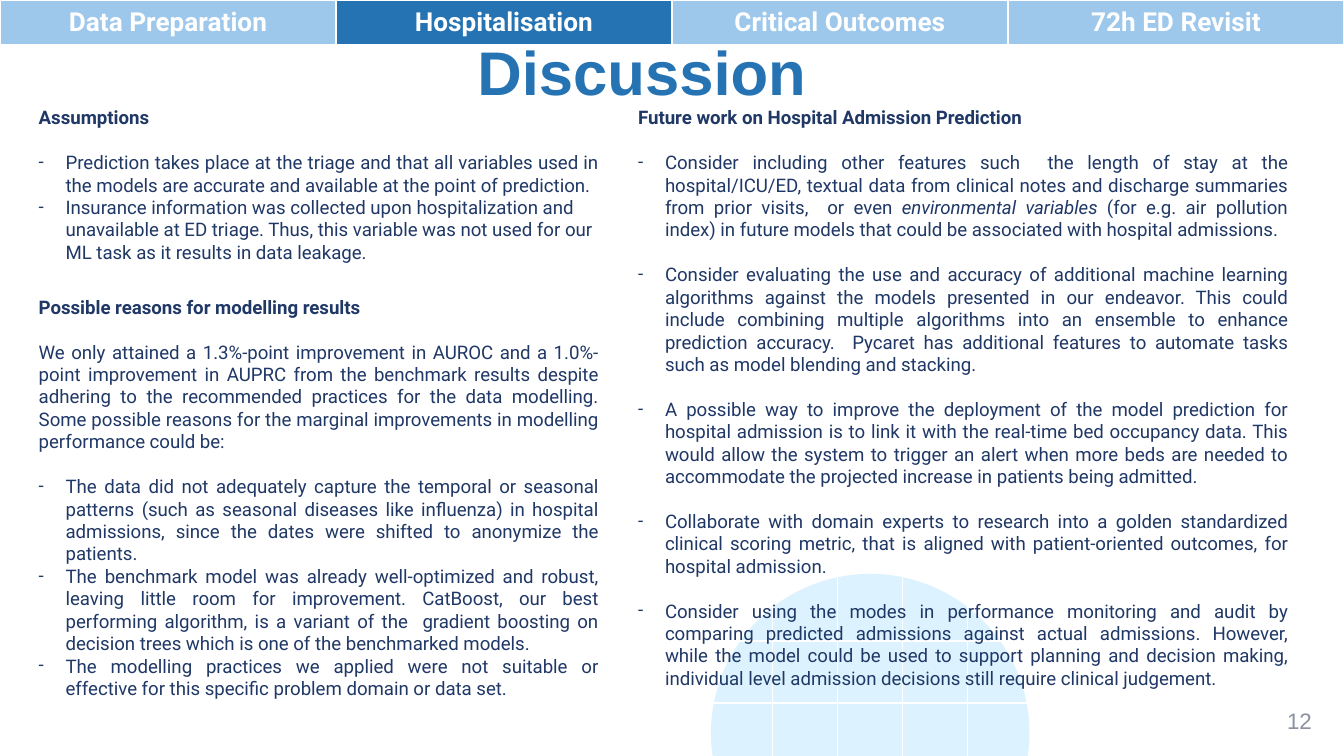
from lxml import etree
from pptx import Presentation
from pptx.dml.color import RGBColor
from pptx.enum.shapes import MSO_CONNECTOR, MSO_SHAPE
from pptx.enum.text import MSO_ANCHOR, PP_ALIGN
from pptx.oxml.ns import qn
from pptx.util import Inches, Pt

LEFT, MID, RIGHT, JUST = (PP_ALIGN.LEFT, PP_ALIGN.CENTER,
                          PP_ALIGN.RIGHT, PP_ALIGN.JUSTIFY)
BLUE, PALE, NAVY, SKY, GREY, WHITE = (
    "2573B3", "9EC8EB", "203866", "DCF3FF", "8D91A0", "FFFFFF")
WIDE = 10
HIGH = WIDE * 9 / 16
GAP = 12

TABS = ["Data Preparation", "Hospitalisation", "Critical Outcomes", "72h ED Revisit"]

# Each item: text, then the format of its paragraph; *stars* mark italics.
HEAD = dict(bold=True)
ITEM = dict(align=JUST, mark="-")
SPACED = dict(ITEM, before=GAP)

PREMISES = [
    ("Assumptions", HEAD),
    ("Prediction takes place at the triage and that all variables used in the "
     "models are accurate and available at the point of prediction.", SPACED),
    ("Insurance information was collected upon hospitalization and unavailable at "
     "ED triage. Thus, this variable was not used for our ML task as it results in "
     "data leakage.", dict(mark="-")),
]
REASONS = [
    ("Possible reasons for modelling results", dict(HEAD, align=JUST)),
    ("We only attained a 1.3%-point improvement in AUROC and a 1.0%-point "
     "improvement in AUPRC from the benchmark results despite adhering to the "
     "recommended practices for the data modelling. Some possible reasons for the "
     "marginal improvements in modelling performance could be:",
     dict(align=JUST, before=GAP)),
    ("The data did not adequately capture the temporal or seasonal patterns (such "
     "as seasonal diseases like influenza) in hospital admissions, since the dates "
     "were shifted to anonymize the patients.", SPACED),
    ("The benchmark model was already well-optimized and robust, leaving little "
     "room for improvement. CatBoost, our best performing algorithm, is a variant "
     "of the  gradient boosting on decision trees which is one of the benchmarked "
     "models.", ITEM),
    ("The modelling practices we applied were not suitable or effective for this "
     "specific problem domain or data set.", ITEM),
]
FUTURE = [
    ("Future work on Hospital Admission Prediction", HEAD),
    ("Consider including other features such  the length of stay at the "
     "hospital/ICU/ED, textual data from clinical notes and discharge summaries "
     "from prior visits,  or even *environmental variables* (for e.g. air pollution "
     "index) in future models that could be associated with hospital admissions.",
     SPACED),
    ("Consider evaluating the use and accuracy of additional machine learning "
     "algorithms against the models presented in our endeavor. This could include "
     "combining multiple algorithms into an ensemble to enhance prediction "
     "accuracy.  Pycaret has additional features to automate tasks such as model "
     "blending and stacking.", SPACED),
    ("A possible way to improve the deployment of the model prediction for hospital "
     "admission is to link it with the real-time bed occupancy data. This would "
     "allow the system to trigger an alert when more beds are needed to accommodate "
     "the projected increase in patients being admitted.", SPACED),
    ("Collaborate with domain experts to research into a golden standardized "
     "clinical scoring metric, that is aligned with patient-oriented outcomes, for "
     "hospital admission.", SPACED),
    ("Consider using the modes in performance monitoring and audit by comparing "
     "predicted admissions against actual admissions. However, while the model "
     "could be used to support planning and decision making, individual level "
     "admission decisions still require clinical judgement.", SPACED),
]


def rgb(code):
    return RGBColor.from_string(code)


def add_mark(para, mark, color, font):
    """Give the paragraph a hanging bullet."""
    props = para._p.get_or_add_pPr()
    props.set("marL", str(Inches(0.2)))
    props.set("indent", str(-Inches(0.2)))
    tint = etree.SubElement(props, qn("a:buClr"))
    etree.SubElement(tint, qn("a:srgbClr"), val=color)
    etree.SubElement(props, qn("a:buFont"), typeface=font)
    etree.SubElement(props, qn("a:buChar"), char=mark)


def write(para, text, size=10, font="Roboto", color=NAVY, bold=False,
          align=LEFT, before=0, mark=None):
    para.alignment = align
    if before:
        para.space_before = Pt(before)
    if mark:
        add_mark(para, mark, color, font)
    for i, part in enumerate(text.split("*")):
        run = para.add_run()
        run.text = part
        run.font.size = Pt(size)
        run.font.name = font
        run.font.bold = bold
        run.font.italic = i % 2 == 1
        run.font.color.rgb = rgb(color)


def add_text(slide, box, items, anchor=MSO_ANCHOR.TOP):
    frame = slide.shapes.add_textbox(*map(Inches, box)).text_frame
    frame.word_wrap = True
    frame.vertical_anchor = anchor
    frame.margin_top = frame.margin_bottom = Inches(0.1)
    for i, (text, form) in enumerate(items):
        para = frame.add_paragraph() if i else frame.paragraphs[0]
        write(para, text, **form)


def add_line(slide, x1, y1, x2, y2):
    line = slide.shapes.add_connector(
        MSO_CONNECTOR.STRAIGHT, *map(Inches, (x1, y1, x2, y2)))
    line.line.color.rgb = rgb(WHITE)
    line.line.width = Pt(0.75)
    etree.SubElement(line._element.spPr, qn("a:effectLst"))


def add_globe(slide, box):
    x, y, w, h = box
    disc = slide.shapes.add_shape(MSO_SHAPE.OVAL, *map(Inches, box))
    disc.shadow.inherit = False
    disc.fill.solid()
    disc.fill.fore_color.rgb = rgb(SKY)
    disc.line.fill.background()
    for i in range(4):
        col = x + 0.46 + i * 1.45 / 3
        add_line(slide, col, y, col, y + h)
    for i in range(2):
        row = y + 0.5 + i * 0.46
        add_line(slide, x, row, x + w, row)


def add_edges(cell):
    props = cell._tc.get_or_add_tcPr()
    for i, side in enumerate(("lnL", "lnR", "lnT", "lnB")):
        edge = etree.Element(qn("a:" + side), w=str(Pt(1)))
        fill = etree.SubElement(edge, qn("a:solidFill"))
        etree.SubElement(fill, qn("a:srgbClr"), val=WHITE)
        props.insert(i, edge)


def add_tabs(slide, box, names, active):
    """Draw the row of section names, with the active one darker."""
    table = slide.shapes.add_table(1, len(names), *map(Inches, box)).table
    for i, name in enumerate(names):
        cell = table.cell(0, i)
        cell.fill.solid()
        cell.fill.fore_color.rgb = rgb(BLUE if name == active else PALE)
        add_edges(cell)
        write(cell.text_frame.paragraphs[0], name, size=14, color=WHITE,
              bold=True, align=MID)


def main():
    deck = Presentation()
    deck.slide_width, deck.slide_height = Inches(WIDE), Inches(HIGH)
    slide = deck.slides.add_slide(deck.slide_layouts[6])
    add_globe(slide, (5.29, 4.27, 2.37, 2.37))
    title = dict(size=33, font="Arial", color=BLUE, bold=True, align=MID)
    add_text(slide, (0.79, 0.27, 7.97, 0.52), [("Discussion", title)],
             MSO_ANCHOR.MIDDLE)
    number = dict(size=12, font="Arial", color=GREY, align=RIGHT)
    add_text(slide, (7.61, 5.21, 2.25, 0.3), [("12", number)], MSO_ANCHOR.MIDDLE)
    add_text(slide, (0.19, 0.69, 4.36, 1.26), PREMISES)
    add_text(slide, (4.65, 0.69, 5.03, 3.14), FUTURE)
    add_tabs(slide, (0, 0, WIDE, 0.33), TABS, "Hospitalisation")
    add_text(slide, (0.19, 2.1, 4.36, 2.83), REASONS)
    deck.save("out.pptx")


if __name__ == "__main__":
    main()
